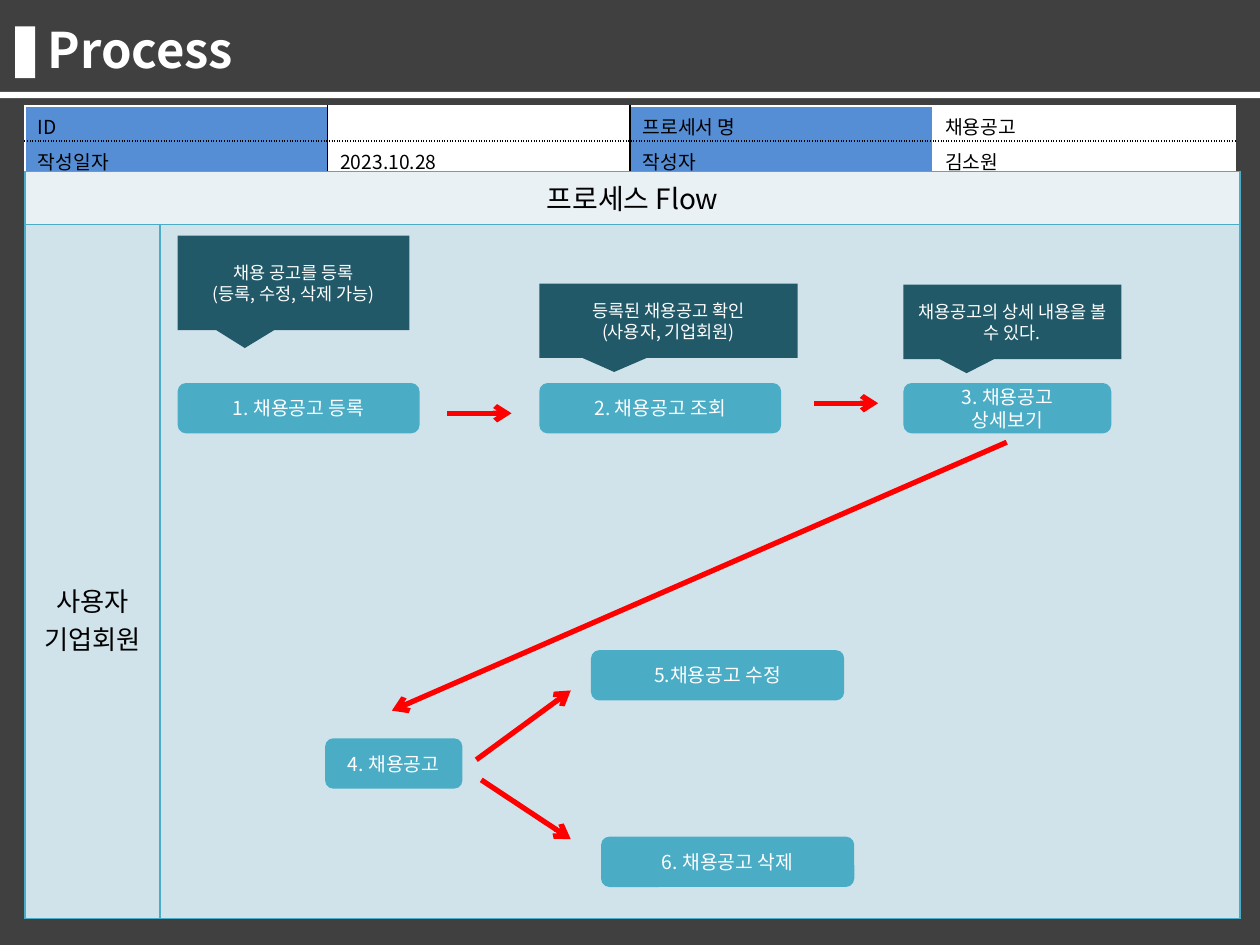
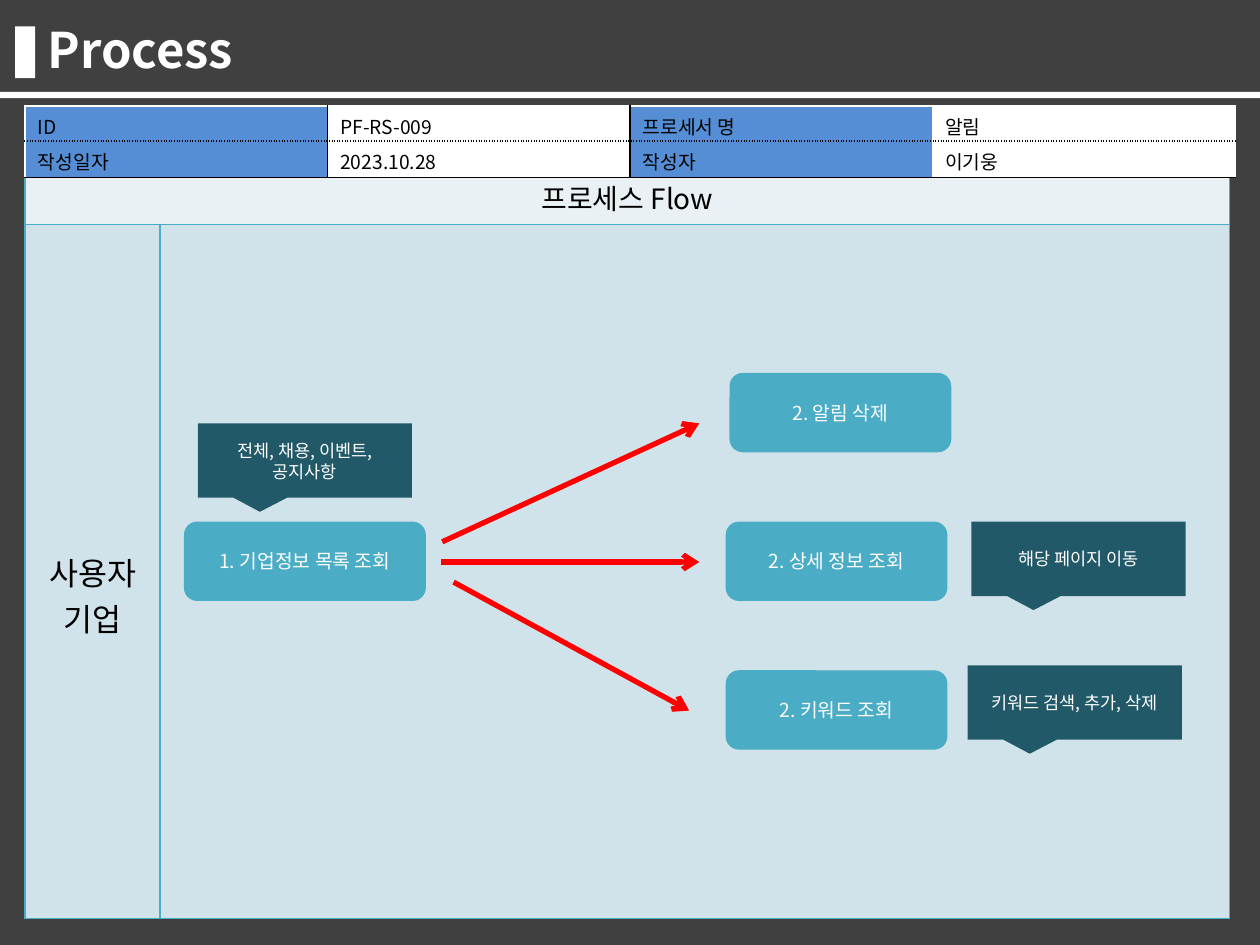
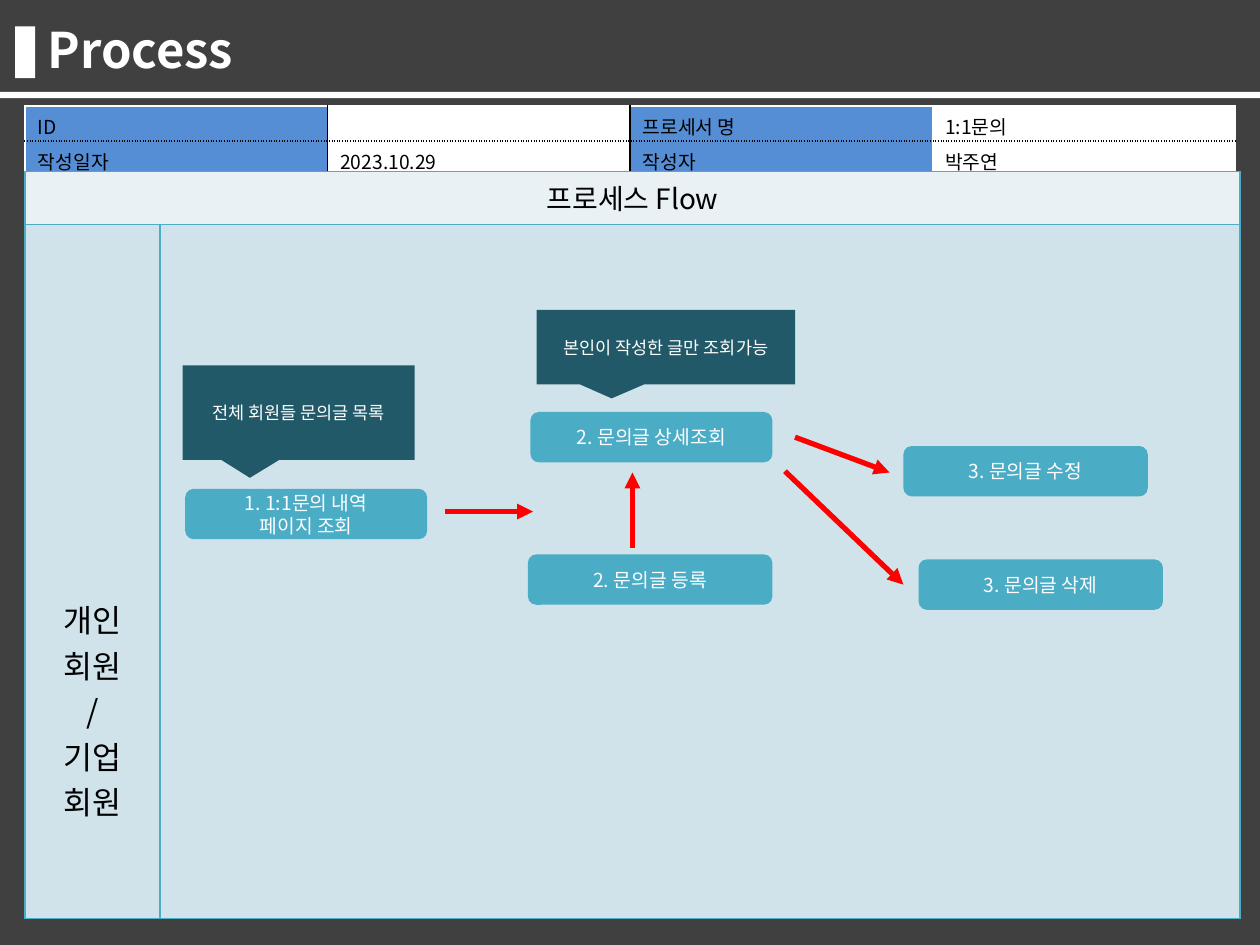
from dataclasses import dataclass

import lxml.etree
import pptx
import pptx.dml.color
import pptx.enum.shapes
import pptx.enum.text
import pptx.oxml.ns
import pptx.util
from pptx.util import Inches

FONT = "Noto Sans CJK KR"
WHITE = "FFFFFF"
BLACK = "000000"
BACKDROP = "404040"
LABEL_BLUE = "558ED5"
STEP_TEAL = "4BACC6"
NOTE_TEAL = "215968"
HEADING_TINT = "E9F1F5"
LANE_TINT = "D0E3EA"
ARROW_RED = "FF0000"

TABLE_LEFT = 0.2
LANE_WIDTH = 1.07
SHAPES = pptx.enum.shapes.MSO_SHAPE
ALIGN = pptx.enum.text.PP_ALIGN
ANCHOR = pptx.enum.text.MSO_ANCHOR


@dataclass(frozen=True)
class Border:
    color: str
    dash: str = "solid"


@dataclass(frozen=True)
class Step:
    lines: tuple[str, ...]
    left: float
    top: float
    width: float
    height: float = 0.4


@dataclass(frozen=True)
class Note:
    lines: tuple[str, ...]
    left: float
    top: float
    width: float
    height: float = 0.59


@dataclass(frozen=True)
class Arrow:
    start: tuple[float, float]
    end: tuple[float, float]


@dataclass(frozen=True)
class Process:
    identifier: str
    name: str
    date: str
    author: str
    actors: tuple[str, ...]
    actor_size: int
    actor_offset: float
    steps: tuple[Step, ...]
    notes: tuple[Note, ...]
    arrows: tuple[Arrow, ...]
    arrowhead: str = "arrow"
    flow_width: float = 8.57
    details_in_front: bool = False


PROCESSES = (
    Process(
        "", "채용공고", "2023.10.28", "김소원", ("사용자", "기업회원"), 15, 2.83,
        steps=(
            Step(("1. 채용공고 등록",), 1.41, 3.04, 1.92),
            Step(("2. 채용공고 조회",), 4.28, 3.04, 1.92),
            Step(("3. 채용공고", "상세보기"), 7.17, 3.04, 1.65),
            Step(("4. 채용공고",), 2.58, 5.86, 1.09),
            Step(("5.채용공고 수정",), 4.69, 5.16, 2.01),
            Step(("6. 채용공고 삭제",), 4.77, 6.64, 2.01),
        ),
        notes=(
            Note(("채용 공고를 등록", "(등록, 수정, 삭제 가능)"), 1.41, 1.87, 1.84, 0.75),
            Note(("등록된 채용공고 확인", "(사용자, 기업회원)"), 4.28, 2.25, 2.05),
            Note(("채용공고의 상세 내용을 볼 수 있다.",), 7.17, 2.26, 1.73),
        ),
        arrows=(
            Arrow((3.55, 3.28), (4.06, 3.28)),
            Arrow((6.46, 3.2), (6.97, 3.2)),
            Arrow((7.99, 3.51), (3.11, 5.64)),
            Arrow((3.78, 6.03), (4.53, 5.48)),
            Arrow((3.82, 6.19), (4.53, 6.66)),
        ),
    ),
    Process(
        "PF-RS-009", "알림", "2023.10.28", "이기웅", ("사용자", "기업"), 18, 2.58,
        steps=(
            Step(("1. 기업정보 목록 조회",), 1.46, 4.14, 1.92, 0.63),
            Step(("2. 알림 삭제",), 5.79, 2.96, 1.76, 0.63),
            Step(("2. 상세 정보 조회",), 5.76, 4.14, 1.76, 0.63),
            Step(("2. 키워드 조회",), 5.76, 5.32, 1.76, 0.63),
        ),
        notes=(
            Note(("전체, 채용, 이벤트, 공지사항",), 1.57, 3.36, 1.7),
            Note(("해당 페이지 이동",), 7.71, 4.14, 1.7),
            Note(("키워드 검색, 추가, 삭제",), 7.68, 5.28, 1.7),
        ),
        arrows=(
            Arrow((3.51, 4.3), (5.55, 3.36)),
            Arrow((3.5, 4.46), (5.55, 4.46)),
            Arrow((3.6, 4.62), (5.47, 5.64)),
        ),
        flow_width=8.49,
        details_in_front=True,
    ),
    Process(
        "", "1:1문의", "2023.10.29", "박주연", ("개인", "회원", "/", "기업", "회원"), 18, 2.95,
        steps=(
            Step(("1. 1:1문의 내역", "페이지 조회"), 1.47, 3.88, 1.92),
            Step(("2. 문의글 상세조회",), 4.21, 3.27, 1.92),
            Step(("2. 문의글 등록",), 4.19, 4.4, 1.94),
            Step(("3. 문의글 수정",), 7.17, 3.54, 1.94),
            Step(("3. 문의글 삭제",), 7.29, 4.44, 1.94),
        ),
        notes=(
            Note(("전체 회원들 문의글 목록",), 1.45, 2.9, 1.84, 0.75),
            Note(("본인이 작성한 글만 조회가능",), 4.26, 2.46, 2.05),
        ),
        arrows=(
            Arrow((3.53, 4.06), (4.23, 4.06)),
            Arrow((6.31, 3.47), (7.06, 3.75)),
            Arrow((6.23, 3.74), (7.17, 4.64)),
            Arrow((5.02, 4.35), (5.02, 3.75)),
        ),
        arrowhead="triangle",
    ),
)


def add_element(parent, tag: str, **attributes: str):
    return lxml.etree.SubElement(parent, pptx.oxml.ns.qn(tag), **attributes)


def set_color(color_format, color: str) -> None:
    color_format.rgb = pptx.dml.color.RGBColor.from_string(color)


def set_fill(fill, color: str) -> None:
    fill.solid()
    set_color(fill.fore_color, color)


def write(text_frame, lines: tuple[str, ...], size: int, color: str,
          alignment=ALIGN.LEFT, bold: bool = False) -> None:
    for index, line in enumerate(lines):
        paragraph = text_frame.paragraphs[0] if index == 0 else text_frame.add_paragraph()
        paragraph.alignment = alignment
        if not line:
            add_element(paragraph._p, "a:endParaRPr", sz=str(size * 100))
            continue
        run = paragraph.add_run()
        run.text = line
        run.font.size = pptx.util.Pt(size)
        run.font.bold = bold
        set_color(run.font.color, color)
        run.font.name = FONT
        add_element(run._r.get_or_add_rPr(), "a:ea", typeface=FONT)


def add_block(slide, preset, left: float, top: float, width: float, height: float, color: str):
    shape = slide.shapes.add_shape(
        preset, Inches(left), Inches(top), Inches(width), Inches(height))
    shape.shadow.inherit = False
    set_fill(shape.fill, color)
    shape.line.fill.background()
    return shape


def add_label(shape, lines: tuple[str, ...], size: int) -> None:
    shape.text_frame.word_wrap = True
    shape.text_frame.vertical_anchor = ANCHOR.MIDDLE
    write(shape.text_frame, lines, size, WHITE, ALIGN.CENTER)


def add_step(slide, step: Step) -> None:
    shape = add_block(slide, SHAPES.ROUNDED_RECTANGLE,
                      step.left, step.top, step.width, step.height, STEP_TEAL)
    add_label(shape, step.lines, 11)


def add_note(slide, note: Note) -> None:
    shape = add_block(slide, SHAPES.RECTANGULAR_CALLOUT,
                      note.left, note.top, note.width, note.height, NOTE_TEAL)
    shape.adjustments[0] = -0.21
    shape.adjustments[1] = 0.69
    add_label(shape, note.lines, 10)


def add_arrow(slide, arrow: Arrow, head: str) -> None:
    connector = slide.shapes.add_connector(
        pptx.enum.shapes.MSO_CONNECTOR.STRAIGHT,
        *(Inches(value) for value in arrow.start + arrow.end))
    connector.line.width = pptx.util.Pt(3)
    set_color(connector.line.color, ARROW_RED)
    add_element(connector.line._get_or_add_ln(), "a:tailEnd", type=head)
    add_element(connector._element.spPr, "a:effectLst")


def style_cell(cell, color: str, left: Border, right: Border, top: Border, bottom: Border) -> None:
    properties = cell._tc.get_or_add_tcPr()
    for side, border in zip("LRTB", (left, right, top, bottom)):
        line = add_element(properties, f"a:ln{side}", w=str(pptx.util.Pt(1)))
        solid = add_element(line, "a:solidFill")
        add_element(solid, "a:srgbClr", val=border.color)
        add_element(line, "a:prstDash", val=border.dash)
    set_fill(cell.fill, color)


def add_table(slide, top: float, widths: tuple[float, ...], heights: tuple[float, ...]):
    table = slide.shapes.add_table(
        len(heights), len(widths), Inches(TABLE_LEFT), Inches(top),
        Inches(sum(widths)), Inches(sum(heights))).table
    table.first_row = False
    table.horz_banding = False
    for column, width in zip(table.columns, widths):
        column.width = Inches(width)
    for row, height in zip(table.rows, heights):
        row.height = Inches(height)
    return table


def add_details(slide, process: Process) -> None:
    table = add_table(slide, 0.84, (2.4,) * 4, (0.28, 0.29))
    rows = (
        ("ID", process.identifier, "프로세서 명", process.name),
        ("작성일자", process.date, "작성자", process.author),
    )
    verticals = [Border(color) for color in (WHITE, BLACK, BLACK, WHITE, WHITE)]
    horizontals = [Border(WHITE), Border(BLACK, "sysDot"), Border(BLACK)]
    for row, texts in enumerate(rows):
        for column, text in enumerate(texts):
            cell = table.cell(row, column)
            cell.margin_top = Inches(0.05)
            cell.margin_bottom = Inches(0)
            write(cell.text_frame, (text,), 11, BLACK)
            style_cell(cell, WHITE if column % 2 else LABEL_BLUE,
                       verticals[column], verticals[column + 1],
                       horizontals[row], horizontals[row + 1])


def add_flow(slide, process: Process) -> None:
    table = add_table(slide, 1.36, (LANE_WIDTH, process.flow_width), (0.42, 5.51))
    border = Border(STEP_TEAL)
    for row, color in enumerate((HEADING_TINT, LANE_TINT)):
        for column in range(2):
            style_cell(table.cell(row, column), color, border, border, border, border)
    heading = table.cell(0, 0)
    heading.merge(table.cell(0, 1))
    write(heading.text_frame, ("프로세스 Flow",), 16, BLACK, ALIGN.CENTER)
    lane = table.cell(1, 0)
    lane.margin_top = Inches(process.actor_offset)
    write(lane.text_frame, process.actors, process.actor_size, BLACK, ALIGN.CENTER)


def add_header(slide) -> None:
    title = slide.shapes.title
    title.left, title.top = Inches(0.28), Inches(0.13)
    title.width, title.height = Inches(8.98), Inches(0.57)
    frame = title.text_frame
    frame.auto_size = pptx.enum.text.MSO_AUTO_SIZE.NONE
    frame.vertical_anchor = ANCHOR.MIDDLE
    frame.margin_top = Inches(0)
    frame.margin_bottom = Inches(0.05)
    write(frame, ("Process",), 28, WHITE, bold=True)
    add_block(slide, SHAPES.RECTANGLE, 0.12, 0.21, 0.16, 0.41, WHITE)
    add_block(slide, SHAPES.RECTANGLE, 0, 0.73, 10, 0.05, WHITE)


def add_process(presentation, process: Process) -> None:
    slide = presentation.slides.add_slide(presentation.slide_layouts[5])
    add_header(slide)
    tables = [add_details, add_flow]
    if process.details_in_front:
        tables.reverse()
    for draw_table in tables:
        draw_table(slide, process)
    for step in process.steps:
        add_step(slide, step)
    for note in process.notes:
        add_note(slide, note)
    for arrow in process.arrows:
        add_arrow(slide, arrow, process.arrowhead)


def main() -> None:
    presentation = pptx.Presentation()
    presentation.slide_width = Inches(10)
    presentation.slide_height = Inches(7.5)
    set_fill(presentation.slide_master.background.fill, BACKDROP)
    for process in PROCESSES:
        add_process(presentation, process)
    presentation.save("out.pptx")


if __name__ == "__main__":
    main()
